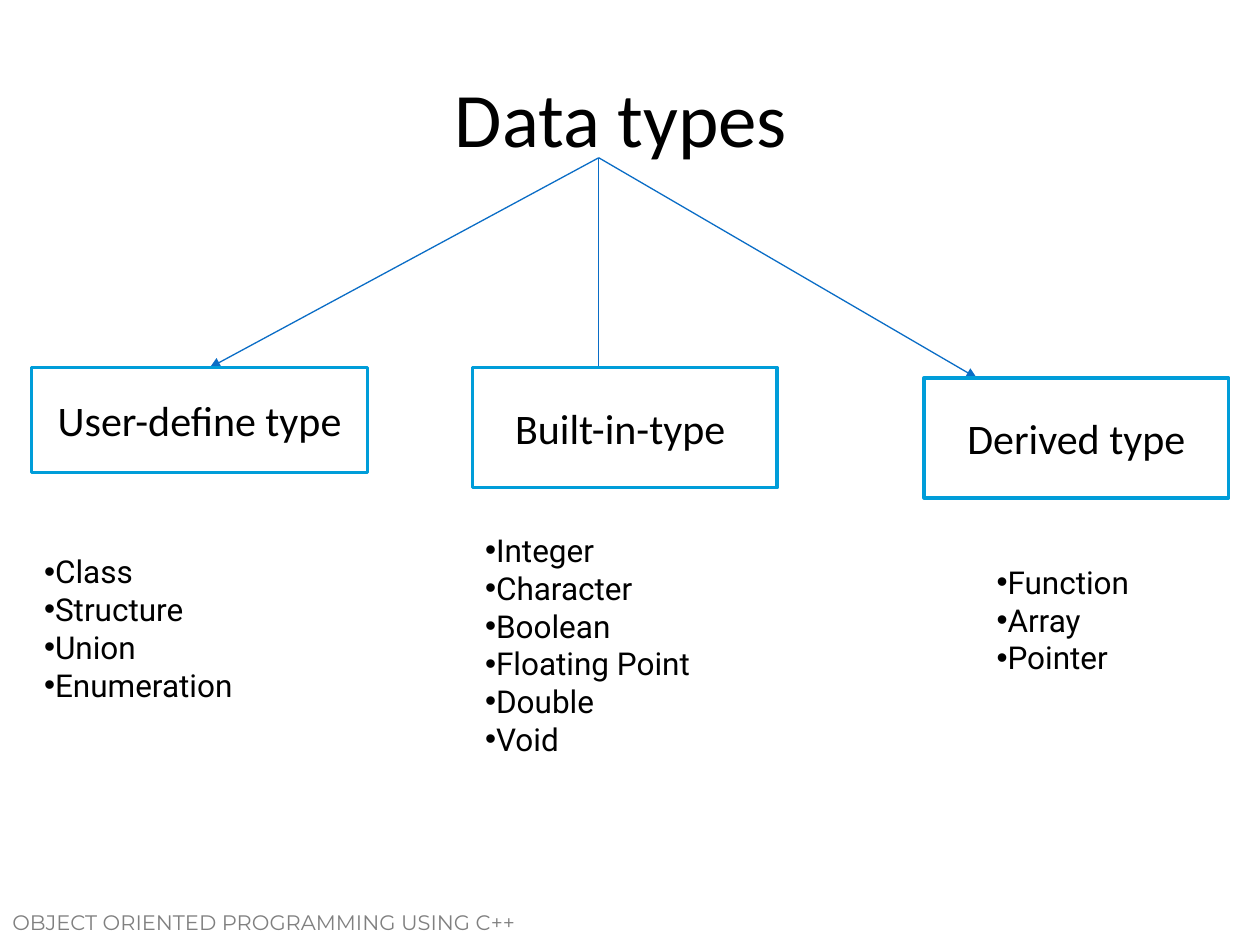
"""Build a slide showing the three families of C++ data types."""
from lxml import etree
from pptx import Presentation
from pptx.dml.color import RGBColor
from pptx.enum.shapes import MSO_CONNECTOR, MSO_SHAPE
from pptx.enum.text import MSO_ANCHOR, PP_ALIGN
from pptx.oxml.ns import qn
from pptx.util import Cm, Pt

STRAIGHT = MSO_CONNECTOR.STRAIGHT
RECTANGLE = MSO_SHAPE.RECTANGLE
MIDDLE, TOP = MSO_ANCHOR.MIDDLE, MSO_ANCHOR.TOP
LEFT, CENTER = PP_ALIGN.LEFT, PP_ALIGN.CENTER

BLACK = RGBColor(0x00, 0x00, 0x00)
WHITE = RGBColor(0xFF, 0xFF, 0xFF)
GRAY = RGBColor(0x80, 0x80, 0x80)
ARROW_BLUE = RGBColor(0x0A, 0x6D, 0xC6)
BORDER_BLUE = RGBColor(0x00, 0x9D, 0xD9)

ARROW_START = (12.07, 3.18)
ARROW_ENDS = [(4.23, 7.41), (12.07, 7.62), (19.69, 7.62)]
CATEGORY_BOXES = [
    ("User-define type", (0.64, 7.41, 6.77, 2.12)),
    ("Built-in-type ", (9.53, 7.41, 6.14, 2.42)),
    ("Derived type", (18.63, 7.62, 6.14, 2.42)),
]
MEMBER_LISTS = [
    (["Class", "Structure", "Union", "Enumeration"], (0.64, 11.01, 4.37, 4.11)),
    (["Integer", "Character", "Boolean", "Floating Point", "Double", "Void"],
     (9.53, 10.58, 4.66, 6.4)),
    (["Function", "Array", "Pointer"], (19.84, 11.22, 3.2, 4.11)),
]


def set_font(paragraph, name, size, color):
    paragraph.font.name = name
    paragraph.font.size = Pt(size)
    paragraph.font.color.rgb = color


def add_text(slide, text, bounds, name, size, color=BLACK, align=LEFT, anchor=TOP, wrap=True):
    shape = slide.shapes.add_textbox(*map(Cm, bounds))
    frame = shape.text_frame
    frame.text = text
    frame.word_wrap = wrap
    frame.vertical_anchor = anchor
    for paragraph in frame.paragraphs:
        paragraph.alignment = align
        set_font(paragraph, name, size, color)
    return shape


def add_bullet_list(slide, items, bounds):
    shape = add_text(slide, "\n".join(items), bounds, "Roboto", 18, wrap=False)
    for paragraph in shape.text_frame.paragraphs:
        properties = paragraph._p.get_or_add_pPr()
        properties.set("marL", "0")
        properties.set("indent", "0")
        bullet_font = etree.Element(qn("a:buFont"), typeface="Arial")
        bullet = etree.Element(qn("a:buChar"), char="•")
        properties.insert(0, bullet_font)
        properties.insert(1, bullet)


def add_arrow(slide, start, end):
    arrow = slide.shapes.add_connector(STRAIGHT, *map(Cm, start + end))
    arrow.line.color.rgb = ARROW_BLUE
    arrow.line.width = Pt(0.75)
    etree.SubElement(arrow.line._get_or_add_ln(), qn("a:tailEnd"), type="triangle")
    etree.SubElement(arrow._element.spPr, qn("a:effectLst"))


def add_category_box(slide, label, bounds):
    shape = slide.shapes.add_shape(RECTANGLE, *map(Cm, bounds))
    shape.shadow.inherit = False
    shape.fill.solid()
    shape.fill.fore_color.rgb = WHITE
    shape.line.color.rgb = BORDER_BLUE
    shape.line.width = Pt(2)
    frame = shape.text_frame
    frame.text = label
    frame.vertical_anchor = MIDDLE
    paragraph = frame.paragraphs[0]
    paragraph.alignment = CENTER
    set_font(paragraph, "Calibri", 24, BLACK)


def main():
    presentation = Presentation()
    presentation.slide_width = Cm(25.4)
    presentation.slide_height = Cm(19.05)
    slide = presentation.slides.add_slide(presentation.slide_layouts[6])
    add_text(slide, "OBJECT ORIENTED PROGRAMMING USING C++",
             (0, 18.21, 12.7, 1.07), "Montserrat", 12, GRAY)
    add_text(slide, "Data types ", (1.27, 0.76, 22.86, 3.18), "Calibri", 44,
             align=CENTER, anchor=MIDDLE)
    for end in ARROW_ENDS:
        add_arrow(slide, ARROW_START, end)
    for label, bounds in CATEGORY_BOXES:
        add_category_box(slide, label, bounds)
    for items, bounds in MEMBER_LISTS:
        add_bullet_list(slide, items, bounds)
    presentation.save("out.pptx")


if __name__ == "__main__":
    main()
